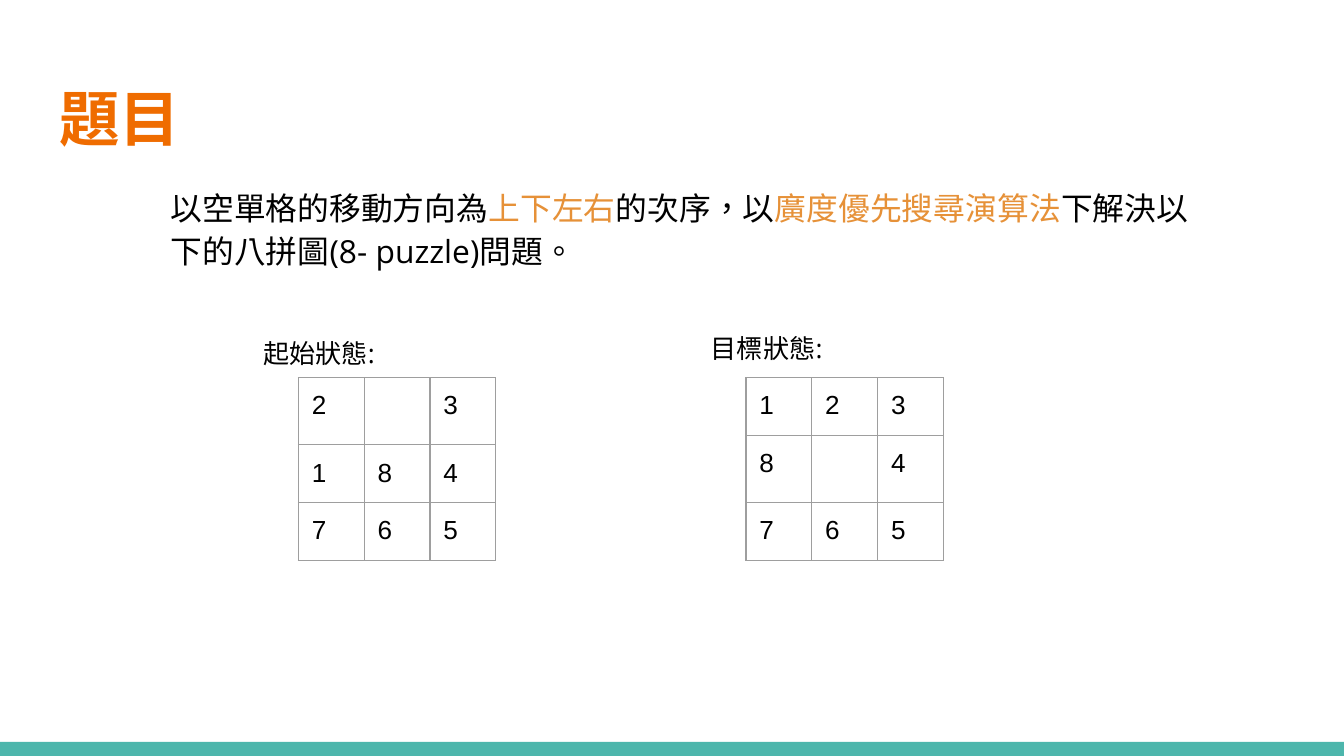
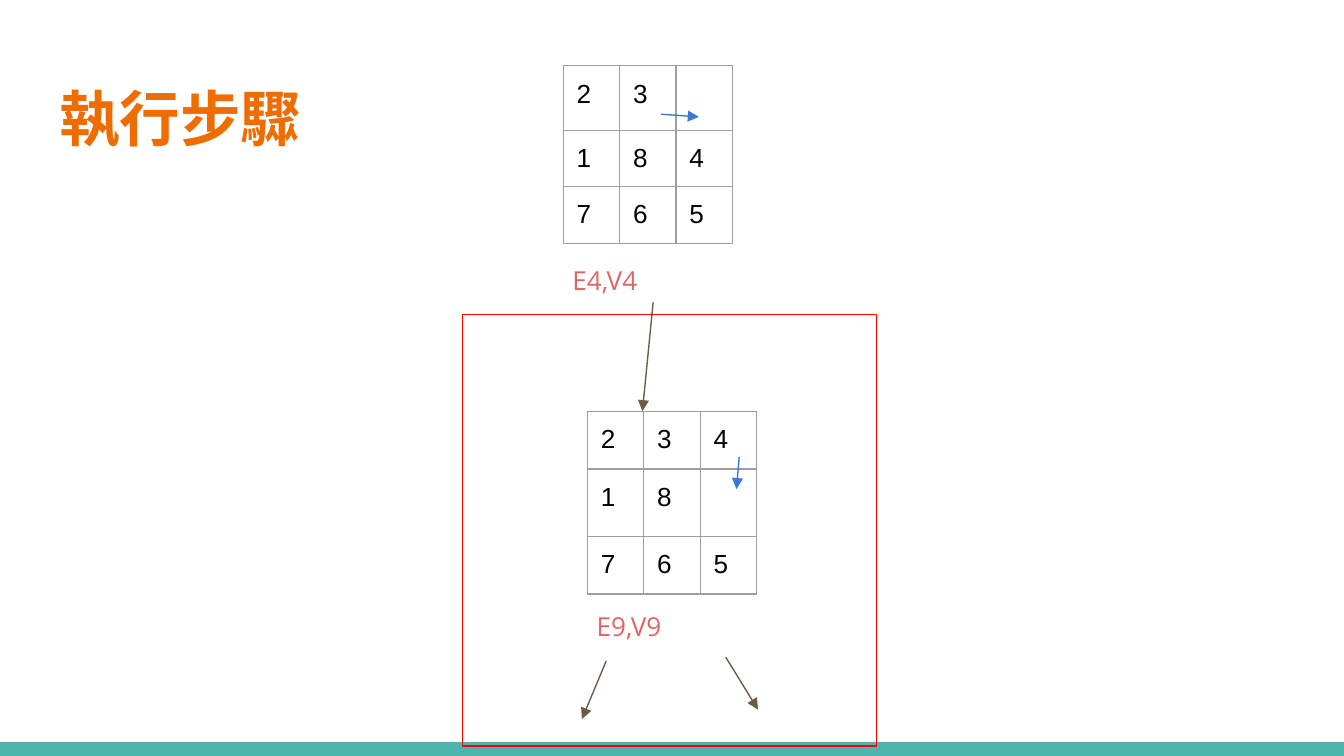
from dataclasses import dataclass

from lxml.etree import SubElement
from pptx import Presentation
from pptx.dml.color import RGBColor
from pptx.enum.shapes import MSO_CONNECTOR as Connector, MSO_SHAPE as Shape
from pptx.enum.text import MSO_ANCHOR as Anchor, MSO_AUTO_SIZE as AutoSize, PP_ALIGN as Align
from pptx.oxml.ns import qn
from pptx.util import Inches, Pt


@dataclass(frozen=True)
class Theme:
    title: str = "EF6C00"
    band: str = "4DB6AC"
    text: str = "000000"
    accent: str = "E69138"
    counter: str = "E06666"
    border: str = "9E9E9E"
    move: str = "3C78D8"
    branch: str = "695D46"
    frame: str = "FF0000"
    title_font: str = "Arial Narrow"
    body_font: str = "Open Sans"
    cell_font: str = "Arial"
    title_size: float = 32.4
    body_size: float = 17
    small_size: float = 14
    line_width: float = 0.75
    inset: float = 0.1


THEME = Theme()

# Boards are rows of digits; a space is the empty square.
SLIDES = [
    {
        "title": ("題目", 9.32),
        "texts": [
            ((1.17, 1.26, 7.88, 0.82), THEME.body_size, 1.15, [
                ("以空單格的移動方向為", THEME.text),
                ("上下左右", THEME.accent),
                ("的次序，以", THEME.text),
                ("廣度優先搜尋演算法", THEME.accent),
                ("下解決以下的八拼圖(8- puzzle)問題。", THEME.text),
            ]),
            ((1.86, 2.41, 1.83, 0.44), THEME.small_size, 1, [("起始狀態:", THEME.text)]),
            ((5.19, 2.37, 1.83, 0.44), THEME.small_size, 1, [("目標狀態:", THEME.text)]),
        ],
        "boards": [
            ((2.22, 2.81), 0.49, (0.5, 0.43, 0.43), ["2 3", "184", "765"]),
            ((5.55, 2.81), 0.49, (0.43, 0.5, 0.43), ["123", "8 4", "765"]),
        ],
    },
    {
        "title": ("執行步驟", 2.84),
        "texts": [
            ((4.16, 1.87, 1.32, 0.44), THEME.small_size, 1, [("E4,V4", THEME.counter)]),
            ((4.34, 4.44, 1.32, 0.44), THEME.small_size, 1, [("E9,V9", THEME.counter)]),
        ],
        "boards": [
            ((4.19, 0.49), 0.42, (0.48, 0.42, 0.42), ["23 ", "184", "765"]),
            ((4.37, 3.06), 0.42, (0.43, 0.5, 0.43), ["234", "18 ", "765"]),
        ],
        "arrows": [
            ((4.92, 0.85), (5.2, 0.87), THEME.move),
            ((4.86, 2.25), (4.78, 3.06), THEME.branch),
            ((5.5, 3.4), (5.48, 3.64), THEME.move),
            ((4.51, 4.92), (4.33, 5.35), THEME.branch),
            ((5.4, 4.89), (5.64, 5.28), THEME.branch),
        ],
        "frame": (3.44, 2.34, 3.08, 3.21),
    },
]


def inches(values):
    return [Inches(value) for value in values]


def set_all(target, values):
    for name, value in values.items():
        setattr(target, name, value)


def set_insets(target):
    sides = ("left", "top", "right", "bottom")
    set_all(target, {f"margin_{side}": Inches(THEME.inset) for side in sides})


def add_run(paragraph, text, font, size, color, bold=False):
    run = paragraph.add_run()
    run.text = text
    set_all(run.font, {"name": font, "size": Pt(size), "bold": bold})
    run.font.color.rgb = RGBColor.from_string(color)
    properties = run._r.get_or_add_rPr()
    properties.set("lang", "zh-TW")
    SubElement(properties, qn("a:ea"), typeface=font)


def style_line(line, color):
    line.color.rgb = RGBColor.from_string(color)
    line.width = Pt(THEME.line_width)


def add_title(slide, text, width):
    title = slide.shapes.title
    left, top, wide, high = inches((0.34, 0.49, width, 0.77))
    set_all(title, {"left": left, "top": top, "width": wide, "height": high})
    frame = title.text_frame
    set_insets(frame)
    set_all(frame, {"vertical_anchor": Anchor.MIDDLE, "word_wrap": True,
                    "auto_size": AutoSize.NONE})
    paragraph = frame.paragraphs[0]
    paragraph.alignment = Align.LEFT
    add_run(paragraph, text, THEME.title_font, THEME.title_size, THEME.title, True)


def add_band(slide):
    band = slide.shapes.add_shape(Shape.RECTANGLE, *inches((0, 5.52, 10, 0.11)))
    band.shadow.inherit = False
    band.fill.solid()
    band.fill.fore_color.rgb = RGBColor.from_string(THEME.band)
    band.line.fill.background()


def add_text(slide, box, size, spacing, runs):
    frame = slide.shapes.add_textbox(*inches(box)).text_frame
    set_insets(frame)
    set_all(frame, {"word_wrap": True, "auto_size": AutoSize.SHAPE_TO_FIT_TEXT})
    paragraph = frame.paragraphs[0]
    paragraph.line_spacing = spacing
    for text, color in runs:
        add_run(paragraph, text, THEME.body_font, size, color)


def add_borders(cell):
    properties = cell._tc.get_or_add_tcPr()
    for side in ("a:lnL", "a:lnR", "a:lnT", "a:lnB"):
        border = SubElement(properties, qn(side), w=str(Pt(THEME.line_width)))
        fill = SubElement(border, qn("a:solidFill"))
        SubElement(fill, qn("a:srgbClr"), val=THEME.border)


def add_board(slide, corner, column_width, row_heights, rows):
    size = (column_width * len(rows[0]), sum(row_heights))
    table = slide.shapes.add_table(len(rows), len(rows[0]), *inches(corner + size)).table
    set_all(table, {"first_row": False, "horz_banding": False})
    for column in table.columns:
        column.width = Inches(column_width)
    for row, height, digits in zip(table.rows, row_heights, rows):
        row.height = Inches(height)
        for cell, digit in zip(row.cells, digits):
            set_insets(cell)
            add_borders(cell)
            cell.fill.background()
            paragraph = cell.text_frame.paragraphs[0]
            if digit.strip():
                add_run(paragraph, digit, THEME.cell_font, THEME.small_size, THEME.text)
            else:
                SubElement(paragraph._p, qn("a:endParaRPr"), sz=str(int(THEME.small_size * 100)))


def add_arrow(slide, start, end, color):
    arrow = slide.shapes.add_connector(Connector.STRAIGHT, *inches(start + end))
    style_line(arrow.line, color)
    SubElement(arrow.line._get_or_add_ln(), qn("a:tailEnd"), type="triangle")
    SubElement(arrow._element.spPr, qn("a:effectLst"))


def add_frame(slide, box):
    frame = slide.shapes.add_shape(Shape.RECTANGLE, *inches(box))
    frame.shadow.inherit = False
    frame.fill.background()
    style_line(frame.line, THEME.frame)


def main():
    presentation = Presentation()
    set_all(presentation, {"slide_width": Inches(10), "slide_height": Inches(5.625)})
    for content in SLIDES:
        slide = presentation.slides.add_slide(presentation.slide_layouts[5])
        add_band(slide)
        add_title(slide, *content["title"])
        for board in content["boards"]:
            add_board(slide, *board)
        for text in content["texts"]:
            add_text(slide, *text)
        for arrow in content.get("arrows", []):
            add_arrow(slide, *arrow)
        if "frame" in content:
            add_frame(slide, content["frame"])
    presentation.save("out.pptx")


if __name__ == "__main__":
    main()
